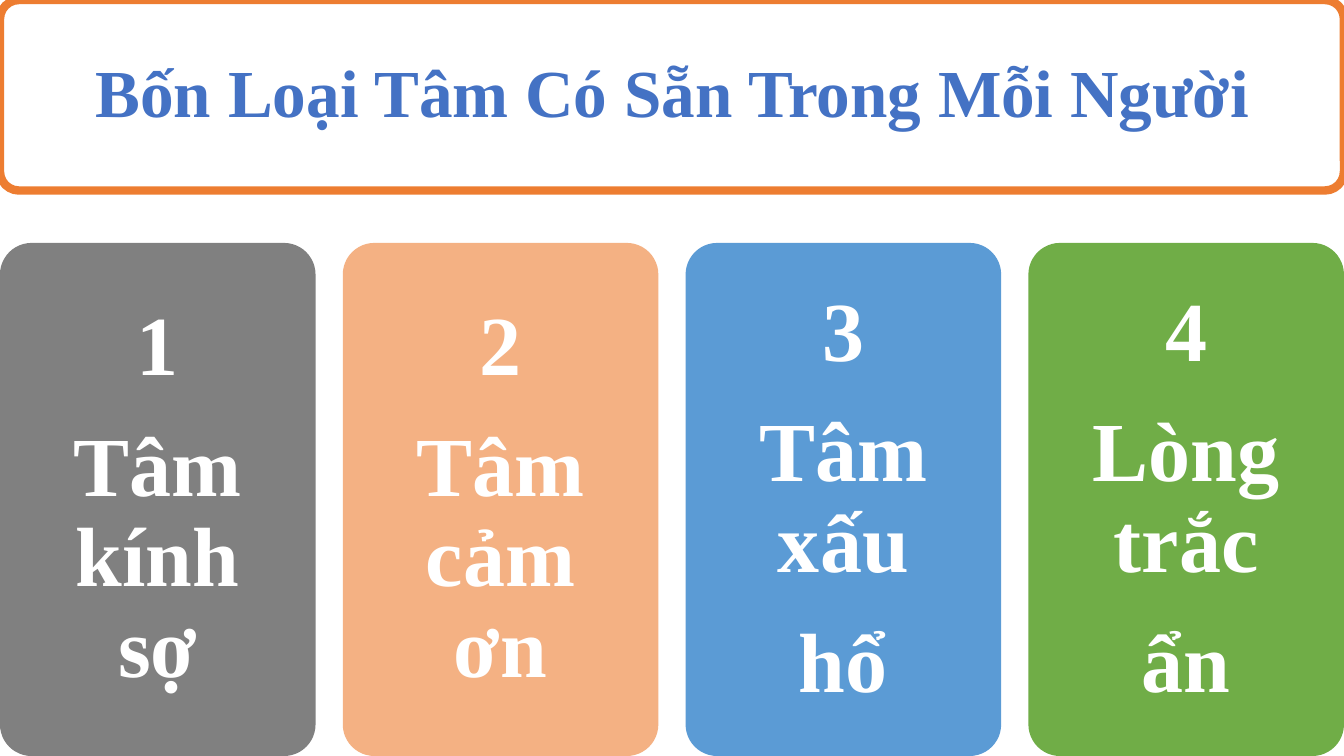
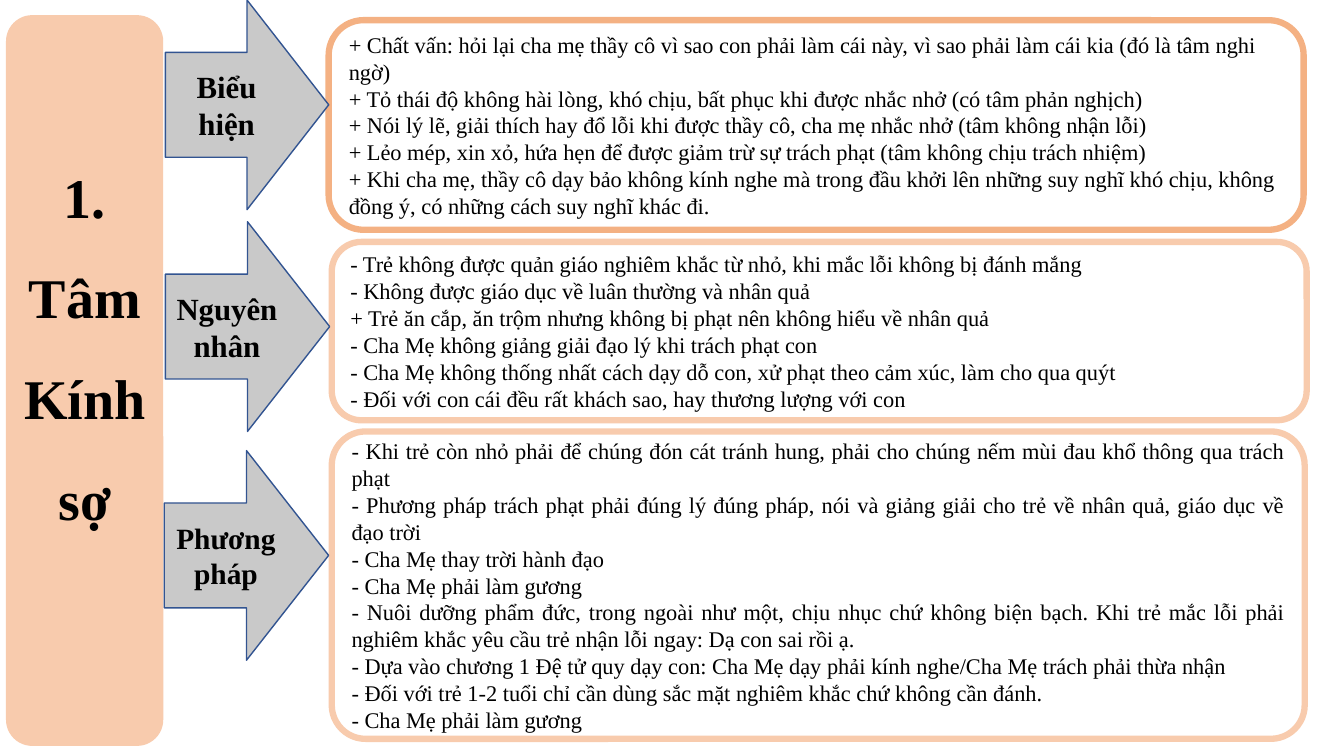
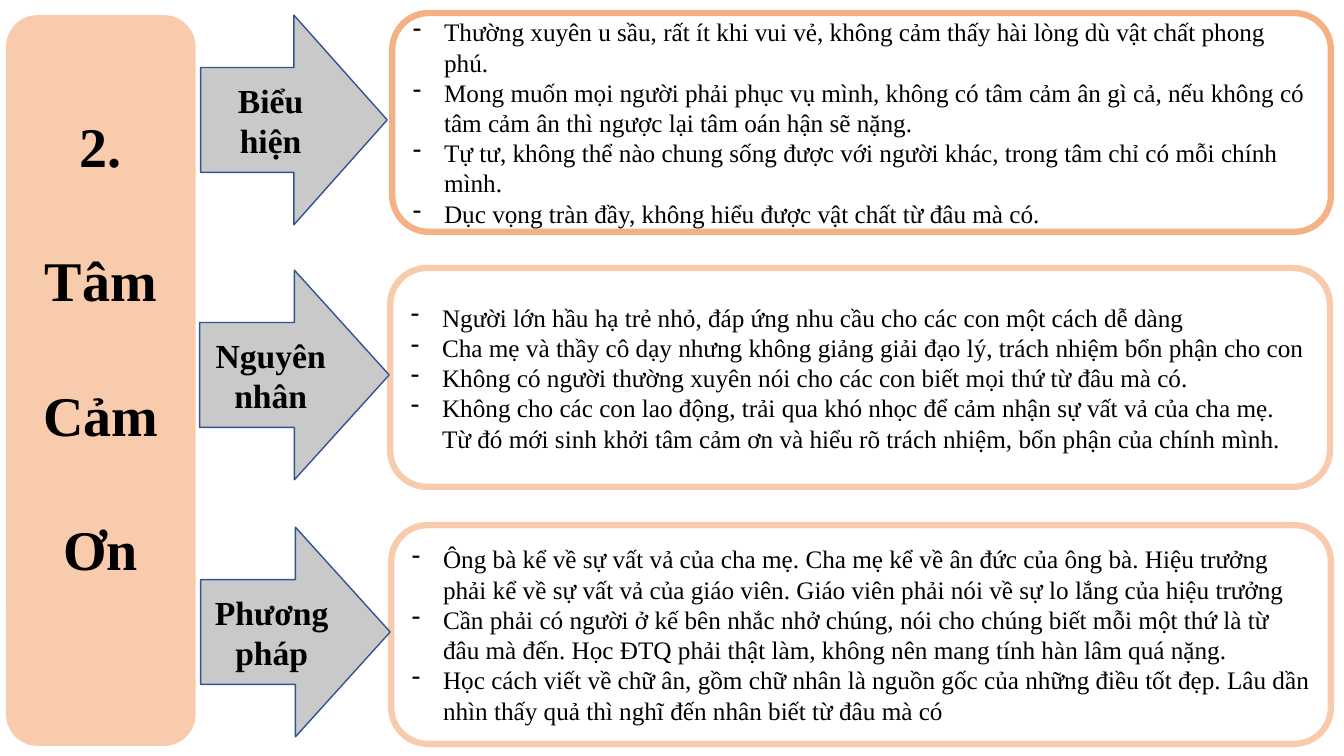
from pptx import Presentation
from pptx import util as u
from pptx.dml.color import RGBColor
from pptx.enum import shapes, text
from lxml import etree

In = u.Inches
FONT = "Times New Roman"
WHITE, BLACK, BLUE = "FFFFFF", "000000", "4472C4"
ORANGE, PEACH, PALE = "ED7D31", "F4B183", "F8CBAD"
GREY, NAVY = "C9C9C9", "325491"
ROUND = shapes.MSO_SHAPE.ROUNDED_RECTANGLE
ARROW = shapes.MSO_SHAPE.RIGHT_ARROW
CENTER, LEFT, JUST = (text.PP_ALIGN.CENTER, text.PP_ALIGN.LEFT,
                      text.PP_ALIGN.JUSTIFY)
BU = "{http://schemas.openxmlformats.org/drawingml/2006/main}buChar"


def draw(slide, kind, box, fill, line=None, width=1, adj=None):
    """Add a preset shape; box holds left, top, width and height in inches."""
    shape = slide.shapes.add_shape(kind, *map(In, box))
    shape.shadow.inherit = False
    shape.fill.solid()
    shape.fill.fore_color.rgb = RGBColor.from_string(fill)
    if line:
        shape.line.color.rgb = RGBColor.from_string(line)
        shape.line.width = u.Pt(width)
    else:
        shape.line.fill.background()
    if adj:
        shape.adjustments[0] = adj
    return shape


def write(shape, lines, size, color=BLACK, bold=False, pad=None, dash=False,
          **form):
    """Fill a shape with paragraphs; form holds paragraph format values."""
    frame = shape.text_frame
    frame.word_wrap = True
    frame.auto_size = text.MSO_AUTO_SIZE.NONE
    frame.vertical_anchor = text.MSO_ANCHOR.MIDDLE
    if pad:
        for side in ("left", "top", "right", "bottom"):
            setattr(frame, "margin_" + side, In(pad))
    frame.text = "\n".join(lines)
    for para in frame.paragraphs:
        for key, val in form.items():
            setattr(para, key, val)
        if dash:
            props = para._p.get_or_add_pPr()
            props.set("marL", str(In(0.31)))
            props.set("indent", str(-In(0.31)))
            etree.SubElement(props, BU, char="-")
        for run in para.runs:
            font = run.font
            font.name, font.size, font.bold = FONT, u.Pt(size), bold
            font.color.rgb = RGBColor.from_string(color)


deck = Presentation()
deck.slide_width, deck.slide_height = In(13.33), In(7.5)
layout = deck.slide_layouts[5]

# Overview: framed title and four cards
slide = deck.slides.add_slide(layout)
title = slide.shapes.title
frame = draw(slide, ROUND, (0, 0, 13.33, 1.89), WHITE, ORANGE, 6, 0.1)
title.element.addprevious(frame.element)
title.left, title.top, title.width, title.height = map(
    In, (0.06, 0.06, 13.22, 1.78))
write(title, ["Bốn Loại Tâm Có Sẵn Trong Mỗi Người"], 48, BLUE, True, 0.2,
      alignment=CENTER, line_spacing=0.9, space_after=u.Pt(17))

cards = [
    ("808080", ["1", "Tâm kính sợ"]),
    (PEACH, ["2", "Tâm cảm ơn"]),
    ("5B9BD5", ["3", "Tâm xấu", "hổ"]),
    ("70AD47", ["4", "Lòng trắc", "ẩn"]),
]
for i, (fill, lines) in enumerate(cards):
    card = draw(slide, ROUND, (3.4 * i, 2.41, 3.13, 5.09), fill, adj=0.1)
    write(card, lines, 60, WHITE, True, 0.25,
          alignment=CENTER, line_spacing=0.9, space_after=u.Pt(21))

# Detail slides: side band with title, then three arrow and box rows
labels = ["Biểu hiện", "Nguyên nhân", "Phương pháp"]
edges = [PEACH, PALE, PALE]
topics = [
    dict(
        title=["1.", "Tâm", "Kính sợ"], band=1.56, high=6.25,
        form=dict(line_spacing=1.5), size=16, dash=False,
        tags=[22, 22, 21], aligns=[LEFT, JUST, JUST],
        arrows=[(1.64, 0, 1.62), (1.64, 2.2, 1.63), (1.63, 4.47, 1.63)],
        boxes=[(3.26, 0.2, 9.67, 2.08), (3.29, 2.4, 9.67, 1.77),
               (3.29, 4.28, 9.65, 3.05)],
        adjs=[None, None, 0.11],
        lists=[
            ["+ Chất vấn: hỏi lại cha mẹ thầy cô vì sao con phải làm cái này, vì sao phải làm cái kia (đó là tâm nghi ngờ)",
             "+ Tỏ thái độ không hài lòng, khó chịu, bất phục khi được nhắc nhở (có tâm phản nghịch)",
             "+ Nói lý lẽ, giải thích hay đổ lỗi khi được thầy cô, cha mẹ nhắc nhở (tâm không nhận lỗi)",
             "+ Lẻo mép, xin xỏ, hứa hẹn để được giảm trừ sự trách phạt (tâm không chịu trách nhiệm)",
             "+ Khi cha mẹ, thầy cô dạy bảo không kính nghe mà trong đầu khởi lên những suy nghĩ khó chịu, không đồng ý, có những cách suy nghĩ khác đi."],
            ["- Trẻ không được quản giáo nghiêm khắc từ nhỏ, khi mắc lỗi không bị đánh mắng",
             "- Không được giáo dục về luân thường và nhân quả",
             "+ Trẻ ăn cắp, ăn trộm nhưng không bị phạt nên không hiểu về nhân quả",
             "- Cha Mẹ không giảng giải đạo lý khi trách phạt con",
             "- Cha Mẹ không thống nhất cách dạy dỗ con, xử phạt theo cảm xúc, làm cho qua quýt",
             "- Đối với con cái đều rất khách sao, hay thương lượng với con"],
            ["- Khi trẻ còn nhỏ phải để chúng đón cát tránh hung, phải cho chúng nếm mùi đau khổ thông qua trách phạt",
             "- Phương pháp trách phạt phải đúng lý đúng pháp, nói và giảng giải cho trẻ về nhân quả, giáo dục về đạo trời",
             "- Cha Mẹ thay trời hành đạo",
             "- Cha Mẹ phải làm gương",
             "- Nuôi dưỡng phẩm đức, trong ngoài như một, chịu nhục chứ không biện bạch. Khi trẻ mắc lỗi phải nghiêm khắc yêu cầu trẻ nhận lỗi ngay: Dạ con sai rồi ạ.",
             "- Dựa vào chương 1 Đệ tử quy dạy con: Cha Mẹ dạy phải kính nghe/Cha Mẹ trách phải thừa nhận",
             "- Đối với trẻ 1-2 tuổi chỉ cần dùng sắc mặt nghiêm khắc chứ không cần đánh.",
             "- Cha Mẹ phải làm gương"],
        ]),
    dict(
        title=["2.", "Tâm", "Cảm", "Ơn"], band=1.88, high=6.58,
        form=dict(line_spacing=1.0, space_after=u.Pt(48)), size=18, dash=True,
        tags=[24] * 3, aligns=[LEFT] * 3,
        arrows=[(1.99, 0.15, 1.85), (1.98, 2.68, 1.88), (1.99, 5.23, 1.88)],
        boxes=[(3.89, 0.13, 9.31, 2.17), (3.87, 2.66, 9.32, 2.17),
               (3.88, 5.21, 9.32, 2.17)],
        adjs=[None] * 3,
        lists=[
            ["Thường xuyên u sầu, rất ít khi vui vẻ, không cảm thấy hài lòng dù vật chất phong phú.",
             "Mong muốn mọi người phải phục vụ mình, không có tâm cảm ân gì cả, nếu không có tâm cảm ân thì ngược lại tâm oán hận sẽ nặng.",
             "Tự tư, không thể nào chung sống được với người khác, trong tâm chỉ có mỗi chính mình.",
             "Dục vọng tràn đầy, không hiểu được vật chất từ đâu mà có."],
            ["Người lớn hầu hạ trẻ nhỏ, đáp ứng nhu cầu cho các con một cách dễ dàng",
             "Cha mẹ và thầy cô dạy nhưng không giảng giải đạo lý, trách nhiệm bổn phận cho con",
             "Không có người thường xuyên nói cho các con biết mọi thứ từ đâu mà có.",
             "Không cho các con lao động, trải qua khó nhọc để cảm nhận sự vất vả của cha mẹ. Từ đó mới sinh khởi tâm cảm ơn và hiểu rõ trách nhiệm, bổn phận của chính mình."],
            ["Ông bà kể về sự vất vả của cha mẹ. Cha mẹ kể về ân đức của ông bà. Hiệu trưởng phải kể về sự vất vả của giáo viên. Giáo viên phải nói về sự lo lắng của hiệu trưởng",
             "Cần phải có người ở kế bên nhắc nhở chúng, nói cho chúng biết mỗi một thứ là từ đâu mà đến. Học ĐTQ phải thật làm, không nên mang tính hàn lâm quá nặng.",
             "Học cách viết về chữ ân, gồm chữ nhân là nguồn gốc của những điều tốt đẹp. Lâu dần nhìn thấy quả thì nghĩ đến nhân biết từ đâu mà có"],
        ]),
]
for topic in topics:
    slide = deck.slides.add_slide(layout)
    title = slide.shapes.title
    band = draw(slide, ROUND, (0.06, 0.15, topic["band"], 7.25), PALE)
    title.element.addprevious(band.element)
    title.left, title.top, title.width, title.height = map(
        In, (0.06, 0.15, topic["band"], topic["high"]))
    write(title, topic["title"], 40, bold=True, alignment=CENTER,
          **topic["form"])
    rows = zip(labels, edges, topic["tags"], topic["aligns"], topic["arrows"],
               topic["boxes"], topic["adjs"], topic["lists"])
    for label, edge, tag, align, spot, box, adj, lines in rows:
        panel = draw(slide, ROUND, box, WHITE, edge, 4.5, adj)
        write(panel, lines, topic["size"], dash=topic["dash"], alignment=align)
        arrow = draw(slide, ARROW, (*spot, 2.08), GREY, NAVY)
        write(arrow, [label], tag, bold=True, alignment=CENTER)

deck.save("out.pptx")
